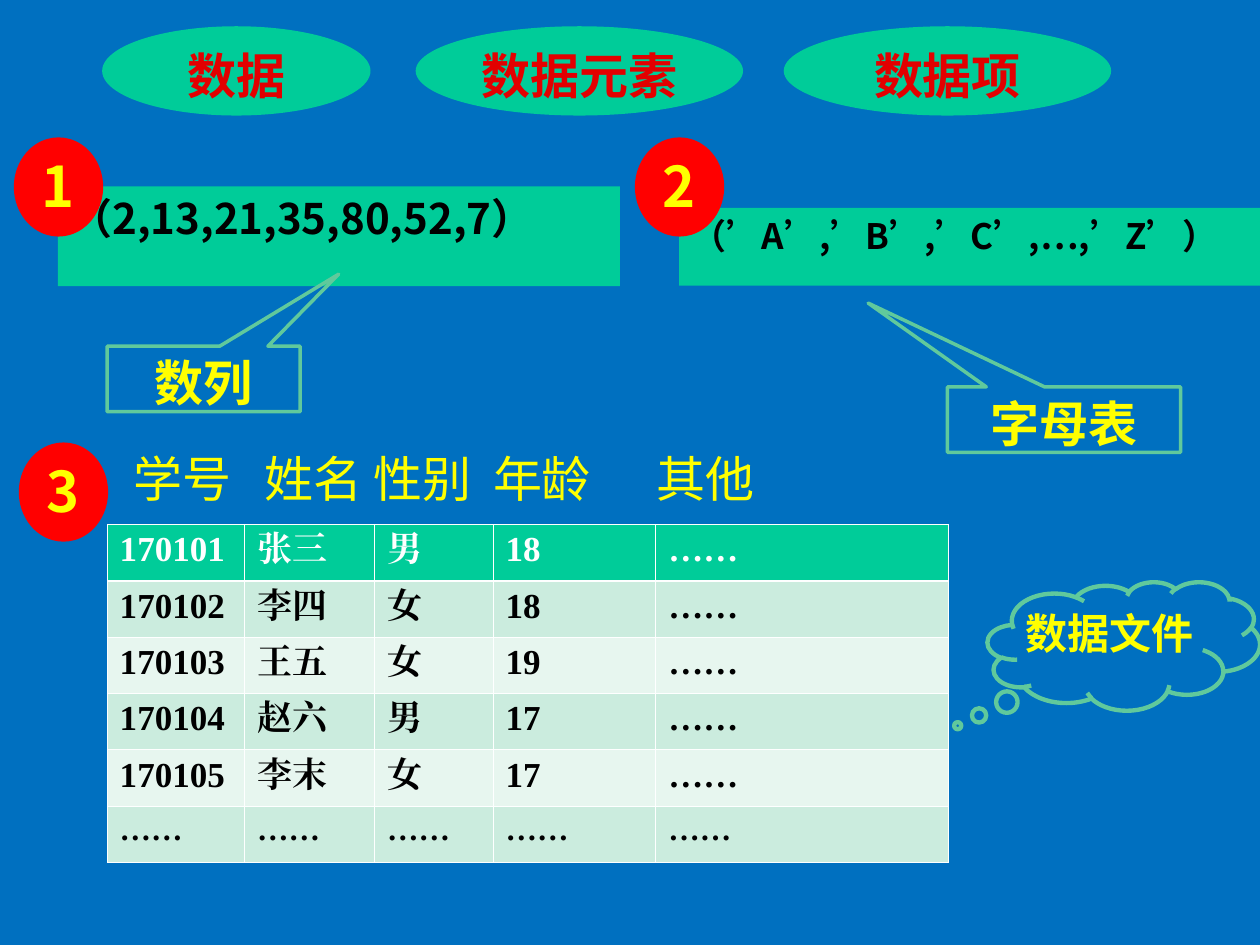
from dataclasses import dataclass

from pptx import Presentation
from pptx.dml.color import RGBColor
from pptx.enum import shapes, text
from pptx.oxml.ns import qn
from pptx.util import Cm, Pt
from lxml import etree


@dataclass(frozen=True)
class Theme:
    background: str = "0070C0"
    panel: str = "00CC99"
    badge: str = "FF0000"
    outline: str = "60C99C"
    term: str = "E20000"
    accent: str = "FFFF00"
    dark: str = "000000"
    light: str = "FEFFFF"
    bands: tuple = ("E7F6EF", "CBECDE")
    sans: str = "Noto Sans CJK SC"
    serif: str = "Times New Roman"
    badge_size: int = 32
    label_size: int = 28
    body_size: int = 24
    cell_size: int = 20
    small_size: int = 18


T = Theme()
KIND = shapes.MSO_SHAPE
CENTER, LEFT = text.PP_ALIGN.CENTER, text.PP_ALIGN.LEFT

# Positions are left, top, width, height in cm.
TERMS = [("数据", 2.06, 5.41), ("数据元素", 8.38, 6.6), ("数据项", 15.8, 6.6)]
TERM_TOP, TERM_HEIGHT = 0.53, 1.8

SEQUENCES = [
    ("（2,13,21,35,80,52,7）", (1.17, 3.76, 11.33, 2.01), T.body_size),
    ("（’A’,’B’,’C’,…,’Z’）", (13.69, 4.19, 11.71, 1.57), T.cell_size),
]
BADGES = [("1", 0.28, 2.77), ("2", 12.8, 2.77), ("3", 0.38, 8.92)]
BADGE_WIDTH, BADGE_HEIGHT = 1.8, 2.0

CALLOUTS = [
    ("数列", (2.16, 6.98, 3.89, 1.32), (0.7, -1.6)),
    ("字母表", (19.1, 7.8, 4.7, 1.32), (-0.84, -1.78)),
]
CLOUD = ("数据文件", (19.91, 11.73, 5.49, 2.59), (-0.61, 0.62))

HEADINGS = ["学号", "姓名", "性别", "年龄", "其他"]
HEADING_BOX = (2.44, 8.92, 16.1, 1.45)
HEADING_TABS = [2.64, 4.85, 7.25, 10.55]

ETC = "……"
RECORDS = [
    ("170101", "张三", "男", "18", ETC),
    ("170102", "李四", "女", "18", ETC),
    ("170103", "王五", "女", "19", ETC),
    ("170104", "赵六", "男", "17", ETC),
    ("170105", "李末", "女", "17", ETC),
    (ETC,) * 5,
]
TABLE_LEFT, TABLE_TOP, TABLE_HEIGHT = 2.16, 10.57, 6.81
COLUMNS = [2.77, 2.62, 2.39, 3.28, 5.89]


def rgb(color):
    return RGBColor.from_string(color)


def add_run(p, words, size, color, font=T.sans, bold=True):
    r = p.add_run()
    r.text = words
    r.font.size, r.font.bold, r.font.name = Pt(size), bold, font
    r.font.color.rgb = rgb(color)
    etree.SubElement(r.font._element, qn("a:ea"), typeface=font)


def add_shape(slide, kind, box, words, size, color, fill=None, line=None,
              align=CENTER, inset=(0.25, 0.13), adjust=()):
    sp = slide.shapes.add_shape(kind, *map(Cm, box))
    sp.shadow.inherit = False
    for i, value in enumerate(adjust):
        sp.adjustments[i] = value
    if fill:
        sp.fill.solid()
        sp.fill.fore_color.rgb = rgb(fill)
    else:
        sp.fill.background()
    if line:
        sp.line.color.rgb, sp.line.width = rgb(T.outline), Pt(line)
    else:
        sp.line.fill.background()
    tf = sp.text_frame
    tf.word_wrap, tf.vertical_anchor = True, text.MSO_ANCHOR.TOP
    tf.margin_left = tf.margin_right = Cm(inset[0])
    tf.margin_top = tf.margin_bottom = Cm(inset[1])
    p = tf.paragraphs[0]
    p.alignment = align
    add_run(p, words, size, color)


def add_headings(slide):
    tf = slide.shapes.add_textbox(*map(Cm, HEADING_BOX)).text_frame
    tf.word_wrap = True
    p = tf.paragraphs[0]
    tabs = etree.SubElement(p._p.get_or_add_pPr(), qn("a:tabLst"))
    for stop in HEADING_TABS:
        etree.SubElement(tabs, qn("a:tab"), pos=str(Cm(stop)), algn="l")
    add_run(p, "\t".join(HEADINGS), T.label_size, T.accent, bold=False)


def set_borders(cell, widths):
    """Draw the left, right, top and bottom borders, in points."""
    for side, width in zip("LRTB", widths):
        ln = etree.SubElement(cell._tc.get_or_add_tcPr(), qn(f"a:ln{side}"), w=str(Pt(width)))
        fill = etree.SubElement(ln, qn("a:solidFill"))
        etree.SubElement(fill, qn("a:srgbClr"), val=T.light)


def add_records(slide):
    table = slide.shapes.add_table(
        len(RECORDS), len(COLUMNS), Cm(TABLE_LEFT), Cm(TABLE_TOP),
        Cm(sum(COLUMNS)), Cm(TABLE_HEIGHT)).table
    for column, width in zip(table.columns, COLUMNS):
        column.width = Cm(width)
    thin, thick = 0.45, 1.47
    for i, record in enumerate(RECORDS):
        first, last = i == 0, i == len(RECORDS) - 1
        for j, words in enumerate(record):
            cell = table.cell(i, j)
            set_borders(cell, (thin, thin, thick if i == 1 else thin, thick if first else thin))
            cell.fill.solid()
            cell.fill.fore_color.rgb = rgb(T.panel if first else T.bands[i % 2])
            add_run(cell.text_frame.paragraphs[0], words,
                    T.small_size if last else T.cell_size,
                    T.light if first else T.dark, T.serif)


def main():
    prs = Presentation()
    prs.slide_width, prs.slide_height = Cm(25.4), Cm(19.05)
    slide = prs.slides.add_slide(prs.slide_layouts[6])
    slide.background.fill.solid()
    slide.background.fill.fore_color.rgb = rgb(T.background)

    for words, left, width in TERMS:
        add_shape(slide, KIND.OVAL, (left, TERM_TOP, width, TERM_HEIGHT), words,
                  T.label_size, T.term, fill=T.panel)
    for words, box, size in SEQUENCES:
        add_shape(slide, KIND.RECTANGLE, box, words, size, T.dark, fill=T.panel, align=LEFT)
    for number, left, top in BADGES:
        add_shape(slide, KIND.OVAL, (left, top, BADGE_WIDTH, BADGE_HEIGHT), number,
                  T.badge_size, T.accent, fill=T.badge, inset=(0.1, 0))
    add_headings(slide)
    add_records(slide)
    for words, box, tip in CALLOUTS:
        add_shape(slide, KIND.RECTANGULAR_CALLOUT, box, words, T.label_size, T.accent,
                  line=2, adjust=tip)
    words, box, tip = CLOUD
    add_shape(slide, KIND.CLOUD_CALLOUT, box, words, T.body_size, T.accent,
              line=2.5, align=LEFT, inset=(0, 0.13), adjust=tip)
    prs.save("out.pptx")


if __name__ == "__main__":
    main()
